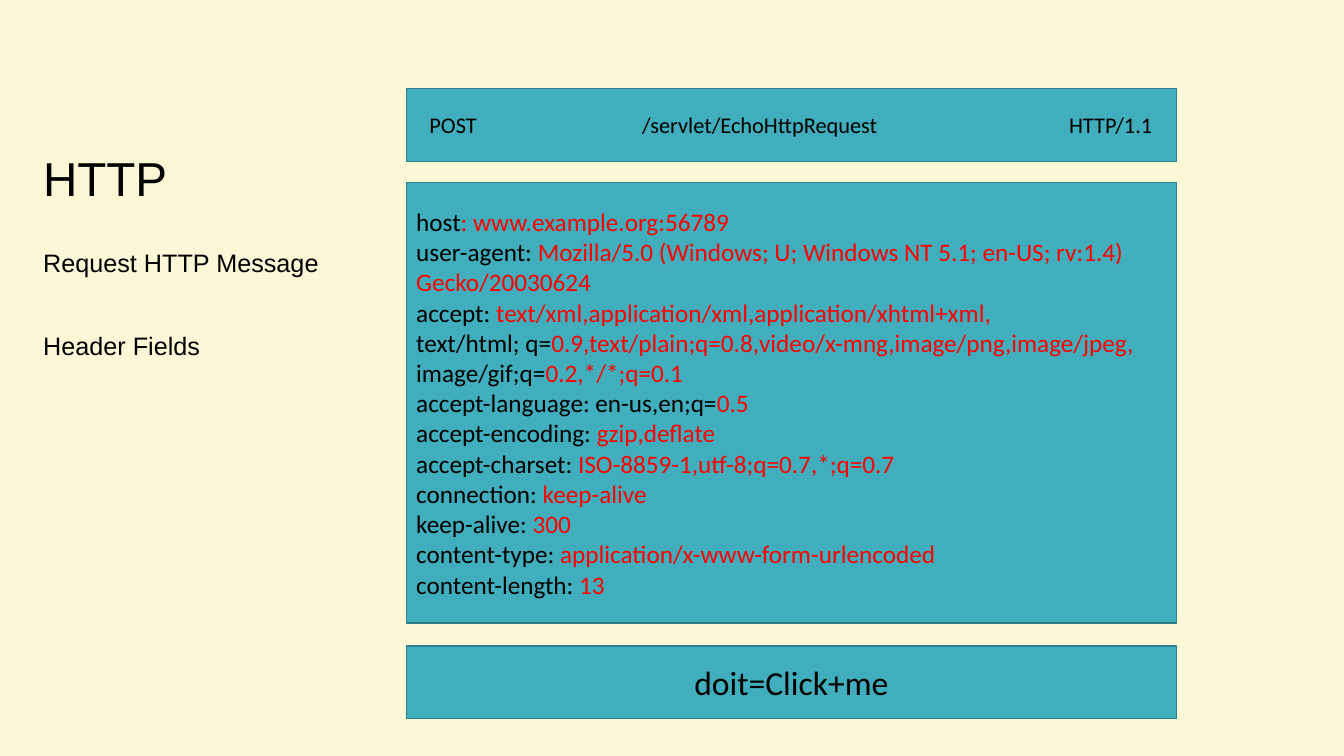
from lxml.etree import SubElement
from pptx import Presentation
from pptx.dml.color import RGBColor
from pptx.enum.shapes import MSO_SHAPE
from pptx.enum.text import MSO_ANCHOR, PP_ALIGN
from pptx.oxml.ns import qn
from pptx.util import Inches, Pt

CREAM = RGBColor(0xFC, 0xF8, 0xD7)
TEAL = RGBColor(0x41, 0xAE, 0xBD)
EDGE = RGBColor(0x2F, 0x7E, 0x89)
BLACK = RGBColor(0, 0, 0)
RED = RGBColor(0xFF, 0, 0)

LEFT, WIDTH = 4.03, 7.64
INSET = 0.23
TABS = [(2.11, "l"), (7.17, "r")]

# Each line: black part, red part
FIELDS = [
    ("host", ": www.example.org:56789"),
    ("user-agent: ", "Mozilla/5.0 (Windows; U; Windows NT 5.1; en-US; rv:1.4)"),
    ("", "Gecko/20030624"),
    ("accept: ", "text/xml,application/xml,application/xhtml+xml,"),
    ("text/html; q=", "0.9,text/plain;q=0.8,video/x-mng,image/png,image/jpeg,"),
    ("image/gif;q=", "0.2,*/*;q=0.1"),
    ("accept-language: en-us,en;q=", "0.5"),
    ("accept-encoding: ", "gzip,deflate"),
    ("accept-charset: ", "ISO-8859-1,utf-8;q=0.7,*;q=0.7"),
    ("connection: ", "keep-alive"),
    ("keep-alive: ", "300"),
    ("content-type: ", "application/x-www-form-urlencoded"),
    ("content-length: ", "13"),
]


def assign(item, values):
    for name, value in values.items():
        setattr(item, name, value)


def write(frame, lines, font, size, **format):
    """Write one paragraph per (black, red) pair of texts."""
    for index, line in enumerate(lines):
        para = frame.add_paragraph() if index else frame.paragraphs[0]
        assign(para, format)
        for text, color in zip(line, (BLACK, RED)):
            if text:
                run = para.add_run()
                run.text = text
                assign(run.font, {"name": font, "size": Pt(size)})
                run.font.color.rgb = color


def add_label(slide, place, lines, size, anchor):
    box = slide.shapes.add_textbox(*map(Inches, place))
    assign(box.text_frame, {"word_wrap": True, "vertical_anchor": anchor})
    write(box.text_frame, [(line,) for line in lines], "Arial", size,
          line_spacing=0.9)
    return box.text_frame


def add_panel(slide, top, height, lines, size, align=PP_ALIGN.LEFT):
    panel = slide.shapes.add_shape(
        MSO_SHAPE.RECTANGLE, *map(Inches, (LEFT, top, WIDTH, height)))
    panel.shadow.inherit = False
    panel.fill.solid()
    panel.fill.fore_color.rgb = TEAL
    panel.line.color.rgb = EDGE
    panel.line.width = Pt(1)
    frame = panel.text_frame
    assign(frame, {"word_wrap": True, "vertical_anchor": MSO_ANCHOR.MIDDLE})
    write(frame, lines, "Calibri", size, alignment=align)
    return frame


def set_tabs(para, tabs):
    stops = SubElement(para._p.get_or_add_pPr(), qn("a:tabLst"))
    for place, align in tabs:
        SubElement(stops, qn("a:tab"), pos=str(Inches(place)), algn=align)


def main():
    deck = Presentation()
    assign(deck, {"slide_width": Inches(13.33), "slide_height": Inches(7.5)})
    slide = deck.slides.add_slide(deck.slide_layouts[6])
    slide.background.fill.solid()
    slide.background.fill.fore_color.rgb = CREAM

    add_label(slide, (0.33, 0.35, 3.34, 1.75), ["HTTP"], 34, MSO_ANCHOR.BOTTOM)
    topics = add_label(slide, (0.33, 2.44, 3.21, 4.17),
                       ["Request HTTP Message", "Header Fields"], 18,
                       MSO_ANCHOR.TOP)
    topics.paragraphs[1].space_before = Pt(40)

    start = add_panel(slide, 0.88, 0.72,
                      [("POST\t/servlet/EchoHttpRequest\tHTTP/1.1",)], 16)
    start.margin_left = Inches(INSET)
    set_tabs(start.paragraphs[0], TABS)
    add_panel(slide, 1.81, 4.37, FIELDS, 18)
    add_panel(slide, 6.41, 0.72, [("doit=Click+me",)], 24, PP_ALIGN.CENTER)
    deck.save("out.pptx")


if __name__ == "__main__":
    main()
